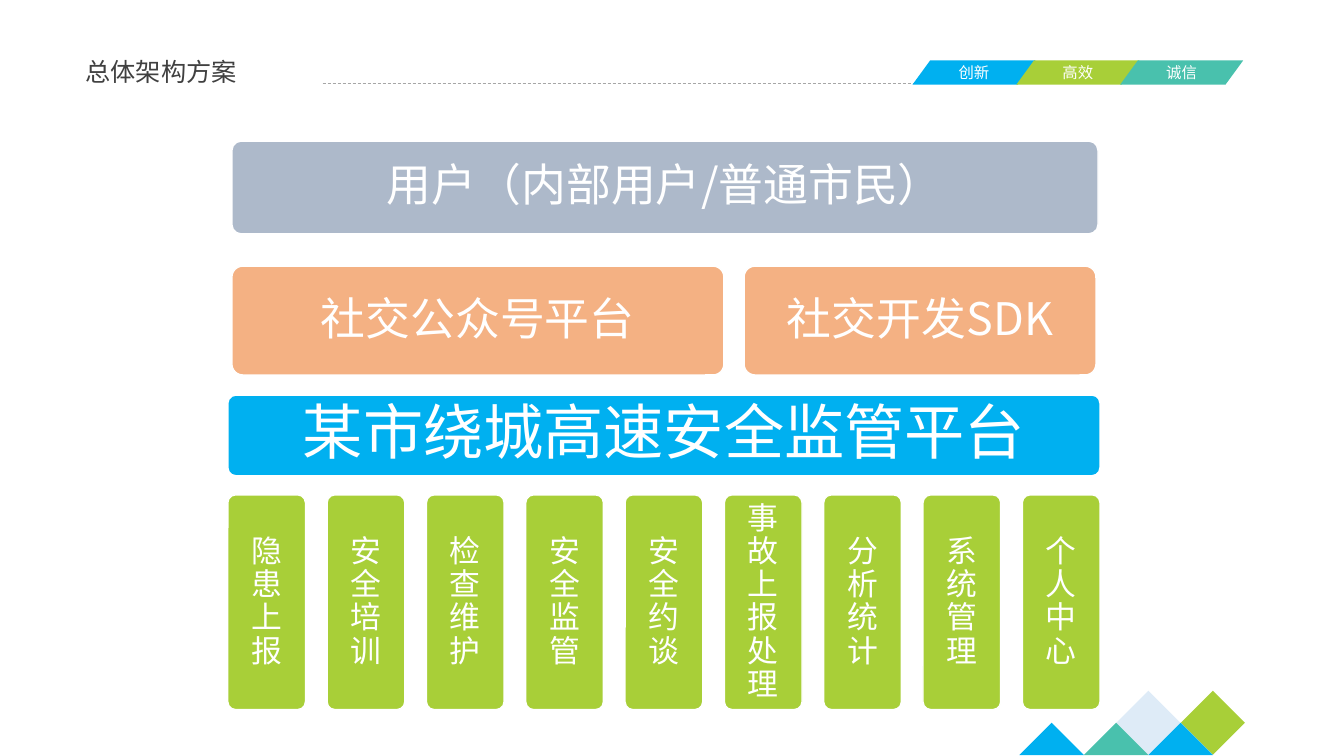
from dataclasses import dataclass

from lxml import etree
from pptx import Presentation
from pptx.dml.color import RGBColor
from pptx.enum.dml import MSO_LINE
from pptx.enum.shapes import MSO_CONNECTOR, MSO_SHAPE
from pptx.enum.text import MSO_ANCHOR, PP_ALIGN
from pptx.oxml.ns import qn
from pptx.shapes.autoshape import Shape
from pptx.slide import Slide
from pptx.text.text import TextFrame
from pptx.util import Inches, Pt

PARALLELOGRAM = MSO_SHAPE.PARALLELOGRAM
RECTANGLE = MSO_SHAPE.RECTANGLE
ROUNDED = MSO_SHAPE.ROUNDED_RECTANGLE
STRAIGHT = MSO_CONNECTOR.STRAIGHT
DASH = MSO_LINE.DASH
MIDDLE = MSO_ANCHOR.MIDDLE
LEFT, CENTER = PP_ALIGN.LEFT, PP_ALIGN.CENTER

COLORS = {
    "blue": "00B0F0",
    "green": "A8CF38",
    "teal": "49C1AD",
    "pale": "DEEBF7",
    "orange": "F4B183",
    "slate": "ADB9CA",
    "white": "FFFFFF",
    "title": "404040",
    "rule": "A6A6A6",
}
HEADING_FONT = "Noto Sans CJK SC"
TAG_FONT = "Arial"


@dataclass(frozen=True)
class TextStyle:
    size: float
    font: str = HEADING_FONT
    color: str = "white"
    align: PP_ALIGN = CENTER
    spacing: float = 0.9
    inset: float = 0.1
    wrap: bool = True


@dataclass(frozen=True)
class Block:
    """A filled, labelled shape; lengths in inches."""
    label: str
    left: float
    top: float
    width: float
    height: float
    color: str
    style: TextStyle
    preset: MSO_SHAPE = ROUNDED
    adjustment: float = 0.1
    outlined: bool = True


@dataclass(frozen=True)
class Peak:
    """A half or whole diamond of the corner pattern."""
    center_x: float
    color: str


TITLE_STYLE = TextStyle(18, color="title", align=LEFT, spacing=1, wrap=False)
TAG_STYLE = TextStyle(11, font=TAG_FONT, spacing=1, inset=0, wrap=False)
LAYER_STYLE = TextStyle(32)
PLATFORM_STYLE = TextStyle(43)
MODULE_STYLE = TextStyle(22)

TAGS = [("创新", "blue"), ("高效", "green"), ("诚信", "teal")]
TAG_LEFT, TAG_STEP = 9.05, 1.03

LAYERS = [
    Block("用户（内部用户/普通市民）", 2.3, 1.4, 8.59, 0.92, "slate", LAYER_STYLE),
    Block("社交公众号平台", 2.3, 2.64, 4.88, 1.08, "orange", LAYER_STYLE),
    Block("社交开发SDK", 7.38, 2.64, 3.49, 1.08, "orange", LAYER_STYLE),
    Block("某市绕城高速安全监管平台", 2.26, 3.92, 8.65, 0.8, "blue", PLATFORM_STYLE),
]

MODULES = ["隐患上报", "安全培训", "检查维护", "安全监管", "安全约谈",
           "事故上报处理", "分析统计", "系统管理", "个人中心"]
MODULE_LEFT, MODULE_RIGHT, MODULE_WIDTH = 2.26, 10.91, 0.77
MODULE_STEP = (MODULE_RIGHT - MODULE_LEFT - MODULE_WIDTH) / (len(MODULES) - 1)

DIAMOND_SIDE, DIAMOND_Y = 0.45, 7.17
HALF_DIAGONAL = 0.32
DIAMONDS = [Peak(11.39, "pale"), Peak(12.03, "green")]
TRIANGLES = [Peak(10.43, "blue"), Peak(11.07, "teal"), Peak(11.71, "blue")]


def rgb(name: str) -> RGBColor:
    return RGBColor.from_string(COLORS[name])


def write_text(frame: TextFrame, text: str, style: TextStyle) -> None:
    inset = Inches(style.inset)
    frame_format = {
        "margin_left": inset, "margin_right": inset,
        "margin_top": inset, "margin_bottom": inset,
        "vertical_anchor": MIDDLE, "word_wrap": style.wrap,
    }
    paragraph = frame.paragraphs[0]
    run = paragraph.add_run()
    run.text = text
    formats = [
        (frame, frame_format),
        (paragraph, {"alignment": style.align, "line_spacing": style.spacing}),
        (run.font, {"size": Pt(style.size), "name": style.font}),
    ]
    for target, values in formats:
        for attribute, value in values.items():
            setattr(target, attribute, value)
    run.font.color.rgb = rgb(style.color)
    east_asian = etree.SubElement(run.font._element, qn("a:ea"))
    east_asian.set("typeface", style.font)


def paint(shape: Shape, color: str, outlined: bool = False) -> None:
    shape.shadow.inherit = False
    shape.fill.solid()
    shape.fill.fore_color.rgb = rgb(color)
    if outlined:
        shape.line.color.rgb = rgb("white")
        shape.line.width = Pt(1)
    else:
        shape.line.fill.background()


def add_block(slide: Slide, block: Block) -> None:
    shape = slide.shapes.add_shape(
        block.preset, Inches(block.left), Inches(block.top),
        Inches(block.width), Inches(block.height))
    shape.adjustments[0] = block.adjustment
    paint(shape, block.color, block.outlined)
    write_text(shape.text_frame, block.label, block.style)


def add_diamond(slide: Slide, peak: Peak) -> None:
    side = Inches(DIAMOND_SIDE)
    diamond = slide.shapes.add_shape(
        RECTANGLE, Inches(peak.center_x) - side // 2,
        Inches(DIAMOND_Y) - side // 2, side, side)
    diamond.rotation = 315
    paint(diamond, peak.color)


def add_triangle(slide: Slide, peak: Peak) -> None:
    apex_x, apex_y, half = (
        Inches(length) for length in (peak.center_x, DIAMOND_Y, HALF_DIAGONAL))
    builder = slide.shapes.build_freeform(apex_x, apex_y)
    builder.add_line_segments(
        [(apex_x + half, apex_y + half), (apex_x - half, apex_y + half)])
    paint(builder.convert_to_shape(), peak.color)


def add_header(slide: Slide) -> None:
    rule = slide.shapes.add_connector(
        STRAIGHT, Inches(3.2), Inches(0.83), Inches(12.12), Inches(0.83))
    rule.line.color.rgb = rgb("rule")
    rule.line.width = Pt(0.5)
    rule.line.dash_style = DASH
    etree.SubElement(rule._element.spPr, qn("a:effectLst"))
    for index, (label, color) in enumerate(TAGS):
        add_block(slide, Block(
            label, TAG_LEFT + index * TAG_STEP, 0.6, 1.22, 0.24, color,
            TAG_STYLE, PARALLELOGRAM, 0.73, False))
    title = slide.shapes.add_textbox(
        Inches(0.75), Inches(0.51), Inches(1.72), Inches(0.4))
    write_text(title.text_frame, "总体架构方案", TITLE_STYLE)


def main() -> None:
    presentation = Presentation()
    presentation.slide_width = Inches(13.33)
    presentation.slide_height = Inches(7.5)
    slide = presentation.slides.add_slide(presentation.slide_layouts[6])
    add_header(slide)
    for diamond in DIAMONDS:
        add_diamond(slide, diamond)
    for triangle in TRIANGLES:
        add_triangle(slide, triangle)
    modules = [
        Block(label, MODULE_LEFT + index * MODULE_STEP, 4.91, MODULE_WIDTH,
              2.13, "green", MODULE_STYLE)
        for index, label in enumerate(MODULES)
    ]
    for block in LAYERS + modules:
        add_block(slide, block)
    presentation.save("out.pptx")


if __name__ == "__main__":
    main()
